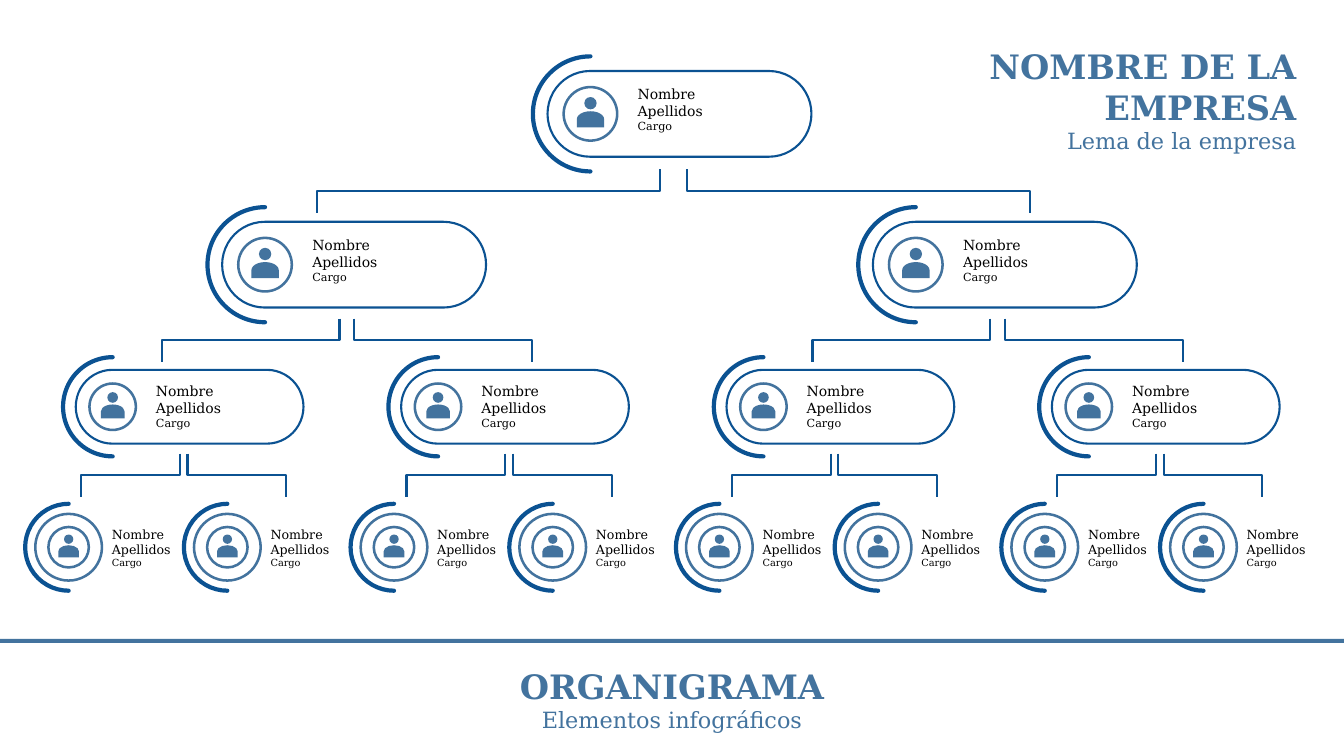
from dataclasses import dataclass

from lxml.etree import SubElement
from pptx import Presentation
from pptx.dml.color import RGBColor as RGB
from pptx.enum.shapes import MSO_CONNECTOR as CONN, MSO_SHAPE as SHAPE
from pptx.enum.text import MSO_ANCHOR as ANCHOR, MSO_AUTO_SIZE as FIT, PP_ALIGN as ALIGN
from pptx.oxml.ns import qn
from pptx.util import Cm, Pt

# Content
HEADING = ["ORGANIGRAMA", "Elementos infográficos"]
COMPANY = ["NOMBRE DE LA EMPRESA", "Lema de la empresa"]
PERSON = ["Nombre", "Apellidos", "Cargo"]

# Levels of the chart, in cm; text is dx, dy, width, height from the portrait centre,
# branch is dx of its axis, top, gap between the two stems, span of each arm
STEP = 8.2
LEVELS = [
    dict(xs=[14.88], y=2.87, arc=2.9, ring=1.35, pill=(6.65, 2.16), outer=None,
         text=(0.94, -0.83, 4.4, 1.45), sizes=(10, 10, 8), branch=(2.1, 4.27, 0.69, 8.64)),
    dict(xs=[6.68, 6.68 + 2 * STEP], y=6.67, arc=2.9, ring=1.35, pill=(6.65, 2.16), outer=None,
         text=(0.94, -0.83, 4.4, 1.45), sizes=(10, 10, 8), branch=(2.06, 8.03, 0.37, 4.48)),
    dict(xs=[2.84 + STEP * i for i in range(4)], y=10.25, arc=2.5, ring=1.17,
         pill=(5.74, 1.86), outer=None,
         text=(0.84, -0.73, 3.81, 1.45), sizes=(10, 10, 8), branch=(1.79, 11.43, 0.19, 2.49)),
    dict(xs=[1.73 + STEP * i + dx for i in range(4) for dx in (0, 4)], y=13.79, arc=2.19,
         ring=1.02, pill=None, outer=1.68,
         text=(0.84, -0.64, 2.06, 1.32), sizes=(9, 9, 7), branch=None),
]
DROP = 1.09


@dataclass(frozen=True)
class Theme:
    font: str = "DejaVu Serif"
    steel: RGB = RGB(0x43, 0x73, 0x9E)
    navy: RGB = RGB(0x0B, 0x52, 0x92)
    blue: RGB = RGB(0x0F, 0x6F, 0xC6)
    white: RGB = RGB(0xFF, 0xFF, 0xFF)
    black: RGB = RGB(0, 0, 0)
    title: int = 24
    subtitle: int = 16
    thin: float = 1.5
    medium: float = 1.8
    thick: float = 3


T = Theme()
TITLE_FORMATS = [dict(size=Pt(T.title), bold=True), dict(size=Pt(T.subtitle), bold=False)]


def set_all(obj, formats):
    for name, value in formats.items():
        setattr(obj, name, value)


def add_centred(shapes, kind, cx, cy, w, h, fill=None, line=None, width=0, rotation=0):
    sp = shapes.add_shape(kind, Cm(cx - w / 2), Cm(cy - h / 2), Cm(w), Cm(h))
    sp.shadow.inherit = False
    sp.rotation = rotation
    if fill is None:
        sp.fill.background()
    else:
        sp.fill.solid()
        sp.fill.fore_color.rgb = fill
    if line is None:
        sp.line.fill.background()
    else:
        sp.line.color.rgb = line
        sp.line.width = Pt(width)
    return sp


def write(sp, lines, formats, color, align):
    tf = sp.text_frame
    set_all(tf, dict(word_wrap=True, auto_size=FIT.NONE, vertical_anchor=ANCHOR.TOP))
    for i, (line, fmt) in enumerate(zip(lines, formats)):
        p = tf.paragraphs[0] if i == 0 else tf.add_paragraph()
        p.alignment = align
        r = p.add_run()
        r.text = line
        set_all(r.font, dict(name=T.font, **fmt))
        r.font.color.rgb = color
    return tf


def add_person(slide, x, level):
    y, arc, ring = level["y"], level["arc"], level["ring"]
    shapes = slide.shapes.add_group_shape().shapes
    if level["pill"]:
        w, h = level["pill"]
        add_centred(shapes, SHAPE.FLOWCHART_TERMINATOR, x + (w - h) / 2, y, w, h,
                    T.white, T.navy, T.thin)
    half = add_centred(shapes, SHAPE.BLOCK_ARC, x, y, arc, arc, T.blue, T.navy, T.thick, 270)
    for i, value in enumerate((108, 0, 0)):
        half.adjustments[i] = value
    # Name and post
    dx, dy, w, h = level["text"]
    box = shapes.add_textbox(Cm(x + dx), Cm(y + dy), Cm(w), Cm(h))
    write(box, PERSON, [dict(size=Pt(s)) for s in level["sizes"]], T.black, ALIGN.LEFT)
    # Portrait: rings, head and shoulders
    for d in filter(None, (ring, level["outer"])):
        add_centred(shapes, SHAPE.OVAL, x, y, d, d, line=T.steel, width=T.medium)
    head = 0.23 * ring
    add_centred(shapes, SHAPE.OVAL, x, y - 0.2 * ring, head, head, T.steel)
    add_centred(shapes, SHAPE.FLOWCHART_DELAY, x, y + 0.1 * ring, 0.3 * ring, 0.51 * ring,
                T.steel, rotation=270)


def add_branch(slide, x, branch):
    dx, top, gap, span = branch
    cy = top + DROP / 2
    # The elbow is laid out on its side and turned so that it leaves downwards
    for side, turn in ((-1, 90), (1, 270)):
        cx = x + dx + side * (gap + span) / 2
        reach = -side * DROP / 2
        c = slide.shapes.add_connector(CONN.ELBOW, Cm(cx - reach), Cm(cy - span / 2),
                                       Cm(cx + reach), Cm(cy + span / 2))
        c.line.color.rgb = T.navy
        c.line.width = Pt(T.thin)
        sp_pr = c._element.spPr
        sp_pr.find(qn("a:xfrm")).set("rot", str(turn * 60000))
        SubElement(sp_pr, qn("a:effectLst"))


def main():
    prs = Presentation()
    prs.slide_width, prs.slide_height = Cm(33.87), Cm(19.05)
    slide = prs.slides.add_slide(prs.slide_layouts[5])

    # Heading, company and dividing band
    title = slide.shapes.title
    set_all(title, dict(left=Cm(0), top=Cm(16.5), width=Cm(33.87), height=Cm(2.08)))
    tf = write(title, HEADING, TITLE_FORMATS, T.steel, ALIGN.CENTER)
    tf.margin_top = Cm(0.28)
    company = slide.shapes.add_textbox(Cm(23.62), Cm(1.04), Cm(9.3), Cm(2.97))
    write(company, COMPANY, TITLE_FORMATS, T.steel, ALIGN.RIGHT)
    add_centred(slide.shapes, SHAPE.RECTANGLE, 33.87 / 2, 16.15, 33.87, 0.1, T.steel)

    # People and the branches below them
    for level in LEVELS:
        for x in level["xs"]:
            add_person(slide, x, level)
            if level["branch"]:
                add_branch(slide, x, level["branch"])

    prs.save("out.pptx")


if __name__ == "__main__":
    main()
